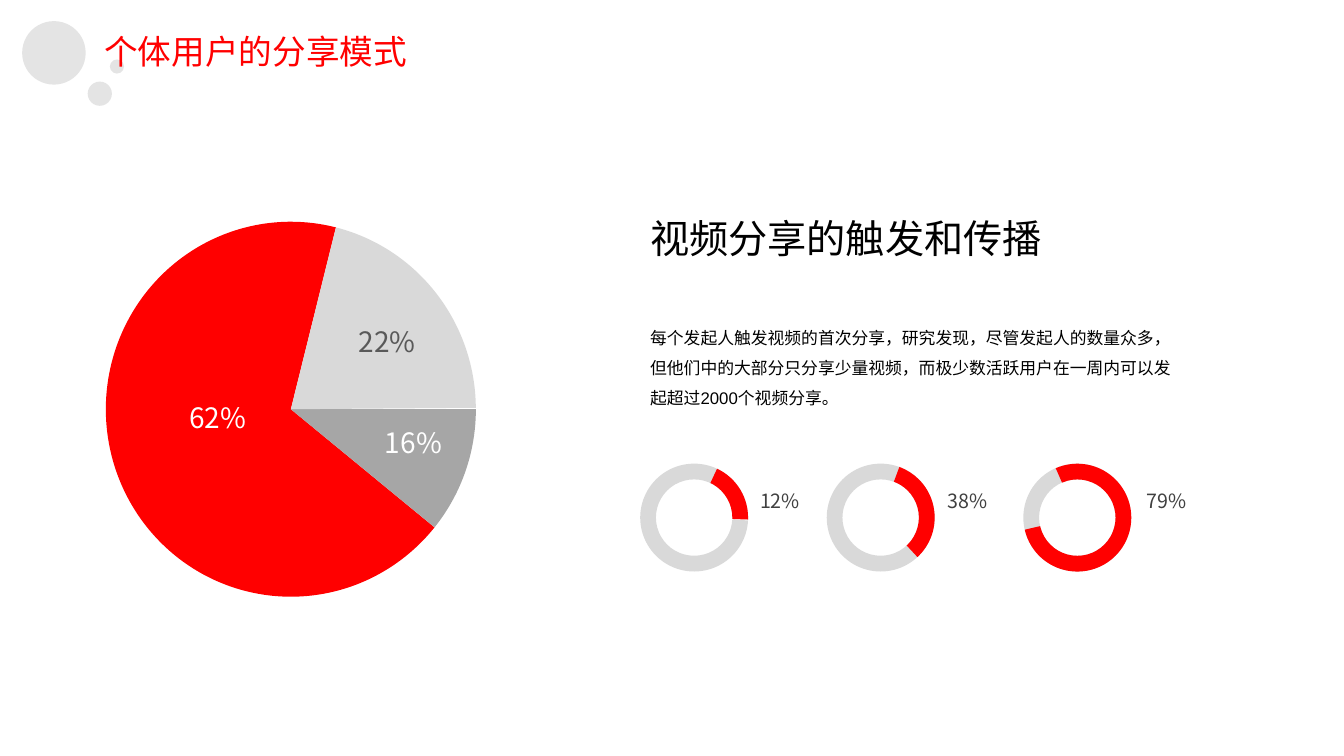
from lxml import etree
from pptx import Presentation, util as u
from pptx.dml.color import RGBColor
from pptx.enum import shapes, text
from pptx.oxml import ns

RED = RGBColor(0xFF, 0x00, 0x00)
LIGHT = RGBColor(0xD9, 0xD9, 0xD9)
MID = RGBColor(0xA6, 0xA6, 0xA6)
GREY = RGBColor(0x59, 0x59, 0x59)
DARK = RGBColor(0x40, 0x40, 0x40)
BLACK = RGBColor(0x00, 0x00, 0x00)
WHITE = RGBColor(0xFF, 0xFF, 0xFF)

CELL = 0.1  # inches per column and per row
COLUMNS, ROWS = 133.3, 75
FULL_RING = (3.05, 2.1)
RING_WIDTH = 0.146


def grid(cells):
    return u.Inches(cells * CELL)


class SharingSlide:
    body_font = "Arial"
    number_font = "Noto Sans CJK SC"

    def __init__(self, deck):
        self.page = deck.slides.add_slide(deck.slide_layouts[5])

    def format_text(self, box, words, size, color, font, wrap=False,
                    align=text.PP_ALIGN.LEFT, spacing=None):
        frame = box.text_frame
        frame.text = words
        frame.word_wrap = wrap
        frame.auto_size = text.MSO_AUTO_SIZE.SHAPE_TO_FIT_TEXT
        frame.vertical_anchor = text.MSO_ANCHOR.TOP
        para = frame.paragraphs[0]
        para.alignment = align
        if spacing:
            para.line_spacing = spacing
        span = para.runs[0]
        span.font.size = u.Pt(size)
        span.font.name = font
        span.font.color.rgb = color

    def title(self, words, left, top, width, height):
        box = self.page.shapes.title
        box.left, box.top = grid(left), grid(top)
        box.width, box.height = grid(width), grid(height)
        self.format_text(box, words, 24, RED, self.body_font,
                         align=text.PP_ALIGN.CENTER)
        box.element.getparent().append(box.element)  # in front of the dots

    def label(self, words, left, top, width, height, size, color,
              font=body_font, **style):
        box = self.page.shapes.add_textbox(*map(grid, (left, top, width, height)))
        self.format_text(box, words, size, color, font, **style)

    def shape(self, kind, left, top, width, height, color):
        item = self.page.shapes.add_shape(
            kind, *map(grid, (left, top, width, height)))
        item.shadow.inherit = False
        item.fill.solid()
        item.fill.fore_color.rgb = color
        item.line.fill.background()
        return item

    def dot(self, left, top, size):
        item = self.shape(shapes.MSO_SHAPE.FLOWCHART_CONNECTOR,
                          left, top, size, size, LIGHT)
        tint = item.element.spPr.find(".//" + ns.qn("a:srgbClr"))
        etree.SubElement(tint, ns.qn("a:alpha")).set("val", "70000")

    def set_angles(self, item, start, end):
        # Angles are stored in 1/60000 degree, adjustments in 1/100000
        item.adjustments[0] = start * 0.6
        item.adjustments[1] = end * 0.6

    def slice(self, start, end, color):
        item = self.shape(shapes.MSO_SHAPE.PIE, 10.5, 22, 36.7, 37.2, color)
        self.set_angles(item, start, end)

    def arc(self, left, start, end, color, turn=0):
        item = self.shape(shapes.MSO_SHAPE.BLOCK_ARC,
                          left, 46, 10.7, 10.7, color)
        self.set_angles(item, start, end)
        item.adjustments[2] = RING_WIDTH
        item.rotation = turn

    def ring(self, left, start, turn, words, label_left):
        self.arc(left, *FULL_RING, LIGHT)
        self.arc(left, start, FULL_RING[1], RED, turn)
        self.label(words, label_left, 48, 6.2, 3.4, 14, DARK, self.number_font)


def main():
    deck = Presentation()
    deck.slide_width, deck.slide_height = grid(COLUMNS), grid(ROWS)
    slide = SharingSlide(deck)

    # Heading with its dots
    for dot in ((2.2, 2.1, 6.3), (8.7, 8.1, 2.4), (10.9, 5.9, 1.4)):
        slide.dot(*dot)
    slide.title("个体用户的分享模式", 9.2, 2.6, 32.3, 5)

    # Small rings: left, start angle, rotation, label, label left
    for ring in ((63.5, 295.16, 0, "12%", 74.4),
                 (82, 245.21, 45, "38%", 93),
                 (101.5, 81.4, 165, "79%", 112.7)):
        slide.ring(*ring)

    # Message
    slide.label("视频分享的触发和传播", 63.5, 20.8, 41.3, 5.7, 28, BLACK)
    slide.label("每个发起人触发视频的首次分享，研究发现，尽管发起人的数量众多，"
                "但他们中的大部分只分享少量视频，而极少数活跃用户在一周内可以发"
                "起超过2000个视频分享。",
                63.5, 31, 55.1, 9.7, 12, BLACK, wrap=True, spacing=1.5)

    # Large pie
    for part in ((39.44, 283.93, RED), (0, 39.4, MID), (283.92, 359.54, LIGHT)):
        slide.slice(*part)
    for words, left, top, color in (("22%", 34.6, 31.7, GREY),
                                    ("16%", 37.2, 41.7, WHITE),
                                    ("62%", 17.8, 39.2, WHITE)):
        slide.label(words, left, top, 7.7, 4.4, 20, color, slide.number_font)

    deck.save("out.pptx")


if __name__ == "__main__":
    main()
